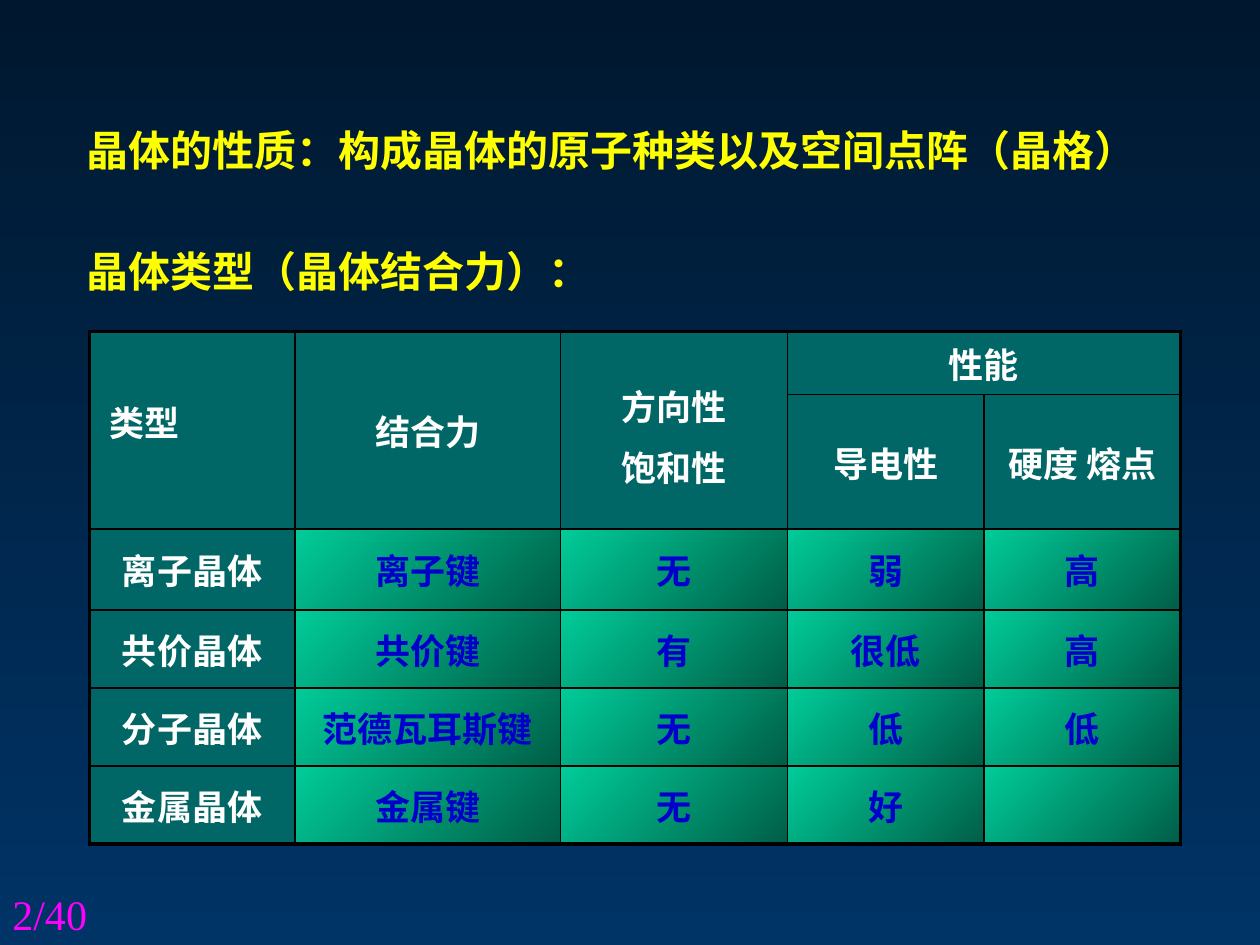
import dataclasses

import lxml.etree
import pptx
import pptx.dml.color
import pptx.enum.text
import pptx.oxml
import pptx.oxml.ns
import pptx.util

GRID_COLS, GRID_ROWS = 100, 75
UNIT = pptx.util.Inches(10) / GRID_COLS
ALIGN = pptx.enum.text.PP_ALIGN
ANCHOR = pptx.enum.text.MSO_ANCHOR
qn = pptx.oxml.ns.qn


@dataclasses.dataclass(frozen=True)
class Theme:
    cjk: str = "Noto Sans CJK SC"
    latin: str = "Times New Roman"
    backdrop: tuple = ("00182F", "003366")
    body: tuple = ("00CC99", "005E47")
    header: str = "006666"
    border: str = "000000"
    heading: str = "FFFF00"
    label: str = "FFFFFF"
    value: str = "0000CC"
    page: str = "FF00FF"
    heading_size: int = 24
    cell_size: int = 20
    outer: float = 2.25
    divider: float = 1.5
    inner: float = 1


THEME = Theme()

COLUMNS = [16.3, 21.1, 18, 15.6, 15.6]
ROWS = [5, 10.7, 6.4, 6.2, 6.2, 6.2]
HEADER_ROWS = 2
CELLS = [
    ["类型", "结合力", "方向性\n饱和性", "性能", ""],
    ["", "", "", "导电性", "硬度 熔点"],
    ["离子晶体", "离子键", "无", "弱", "高"],
    ["共价晶体", "共价键", "有", "很低", "高"],
    ["分子晶体", "范德瓦耳斯键", "无", "低", "低"],
    ["金属晶体", "金属键", "无", "好", ""],
]


def grid(n):
    return pptx.util.Emu(round(n * UNIT))


def rgb(color):
    return pptx.dml.color.RGBColor.from_string(color)


def add_run(p, text, font, size, color, bold=False):
    r = p.add_run()
    r.text = text
    r.font.name = font
    r.font.size = pptx.util.Pt(size)
    r.font.bold = bold
    r.font.color.rgb = rgb(color)
    ea = lxml.etree.Element(qn("a:ea"), typeface=font)
    r.font._element.find(qn("a:latin")).addnext(ea)


def set_gradient(fill, colors, angle):
    fill.gradient()
    fill.gradient_angle = angle
    for stop, color in zip(fill.gradient_stops, colors):
        stop.color.rgb = rgb(color)


def add_line(s, box, text, font, color, bold, anchor):
    sp = s.shapes.add_textbox(*map(grid, box))
    tf = sp.text_frame
    tf.word_wrap = True
    tf.vertical_anchor = anchor
    add_run(tf.paragraphs[0], text, font, THEME.heading_size, color, bold)


def add_heading(s, box, text):
    add_line(s, box, text, THEME.cjk, THEME.heading, True, ANCHOR.MIDDLE)


def add_page_number(s, box, text):
    add_line(s, box, text, THEME.latin, THEME.page, False, ANCHOR.BOTTOM)


def edge_width(edge, count, divider):
    if edge in (0, count):
        return THEME.outer
    return THEME.divider if edge == divider else THEME.inner


def set_borders(cell, row, col):
    edges = {
        "a:lnL": edge_width(col, len(COLUMNS), 1),
        "a:lnR": edge_width(col + cell.span_width, len(COLUMNS), 1),
        "a:lnT": edge_width(row, len(ROWS), HEADER_ROWS),
        "a:lnB": edge_width(row + cell.span_height, len(ROWS), HEADER_ROWS),
    }
    tc_pr = cell._tc.get_or_add_tcPr()
    for i, (tag, width) in enumerate(edges.items()):
        ln = lxml.etree.Element(qn(tag), w=str(pptx.util.Pt(width)))
        fill = lxml.etree.SubElement(ln, qn("a:solidFill"))
        lxml.etree.SubElement(fill, qn("a:srgbClr"), val=THEME.border)
        tc_pr.insert(i, ln)


def fill_cell(cell, row, col, text):
    is_label = row < HEADER_ROWS or col == 0
    if is_label:
        cell.fill.solid()
        cell.fill.fore_color.rgb = rgb(THEME.header)
    else:
        set_gradient(cell.fill, THEME.body, 315)
    cell.vertical_anchor = ANCHOR.MIDDLE
    tf = cell.text_frame
    lines = text.split("\n") if text else []
    for i, line in enumerate(lines):
        p = tf.add_paragraph() if i else tf.paragraphs[0]
        p.alignment = ALIGN.CENTER
        if len(lines) > 1:
            p.line_spacing = 1.2
        color = THEME.label if is_label else THEME.value
        add_run(p, line, THEME.cjk, THEME.cell_size, color, True)
    set_borders(cell, row, col)


def add_crystal_table(s, box):
    table = s.shapes.add_table(len(ROWS), len(COLUMNS), *map(grid, box)).table
    table.first_row = table.horz_banding = False
    for column, share in zip(table.columns, COLUMNS):
        column.width = grid(box[2] * share / sum(COLUMNS))
    for row, share in zip(table.rows, ROWS):
        row.height = grid(box[3] * share / sum(ROWS))
    for col in range(3):
        table.cell(0, col).merge(table.cell(1, col))
    table.cell(0, 3).merge(table.cell(0, 4))
    for row, texts in enumerate(CELLS):
        for col, text in enumerate(texts):
            cell = table.cell(row, col)
            if not cell.is_spanned:
                fill_cell(cell, row, col, text)
    corner = table.cell(0, 0)
    corner.vertical_anchor = ANCHOR.TOP
    corner.margin_left, corner.margin_top = grid(1.6), grid(5.1)
    corner.text_frame.paragraphs[0].alignment = ALIGN.LEFT


def build_slide(prs):
    s = prs.slides.add_slide(prs.slide_layouts[6])
    set_gradient(s.background.fill, THEME.backdrop, 270)
    add_heading(s, (5.9, 9.4, 87.7, 5), "晶体的性质：构成晶体的原子种类以及空间点阵（晶格）")
    add_heading(s, (5.9, 19, 47.2, 5), "晶体类型（晶体结合力）：")
    add_crystal_table(s, (7.1, 26.3, sum(COLUMNS), sum(ROWS)))
    add_page_number(s, (0, 69.8, 23.3, 5.2), "2/40")


def main():
    prs = pptx.Presentation()
    prs.slide_width, prs.slide_height = grid(GRID_COLS), grid(GRID_ROWS)
    build_slide(prs)
    prs.save("out.pptx")


if __name__ == "__main__":
    main()
